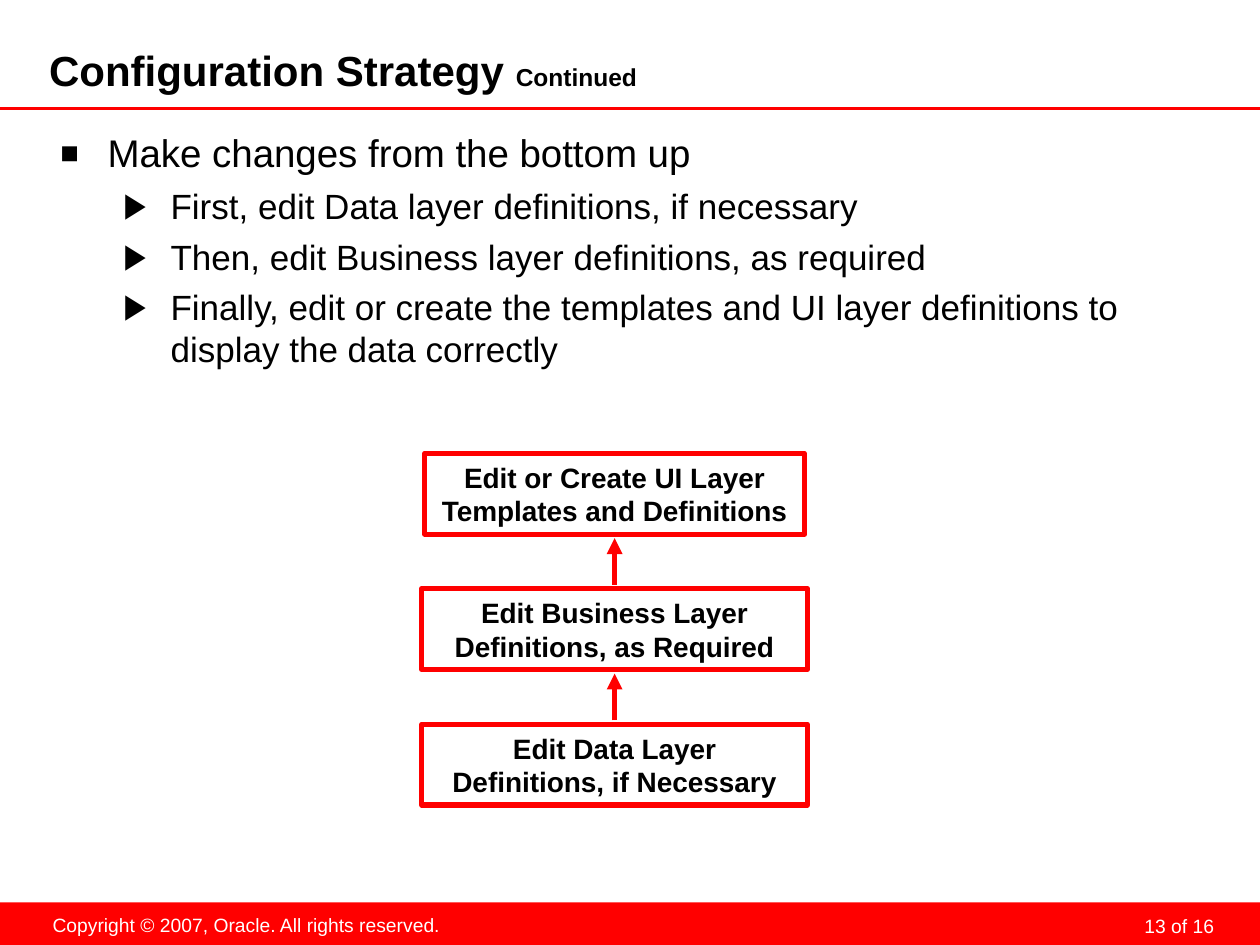
from lxml import etree
from pptx import Presentation
from pptx.dml.color import RGBColor
from pptx.enum.shapes import MSO_CONNECTOR, MSO_SHAPE
from pptx.enum.text import MSO_ANCHOR, PP_ALIGN
from pptx.oxml.ns import qn
from pptx.util import Cm, Pt

RED = RGBColor(0xFF, 0x00, 0x00)
BLACK = RGBColor(0x00, 0x00, 0x00)
WHITE = RGBColor(0xFF, 0xFF, 0xFF)

deck = Presentation()
deck.slide_width, deck.slide_height = Cm(25.4), Cm(19.05)
page = deck.slides.add_slide(deck.slide_layouts[6])


def style(paragraph, size, color, bold=False):
    font = paragraph.font
    font.name, font.size, font.bold = "Arial", Pt(size), bold
    font.color.rgb = color


def add_line(x1, y1, x2, y2, width):
    line = page.shapes.add_connector(
        MSO_CONNECTOR.STRAIGHT, Cm(x1), Cm(y1), Cm(x2), Cm(y2))
    line.line.color.rgb = RED
    line.line.width = Pt(width)
    etree.SubElement(line._element.spPr, qn("a:effectLst"))
    return line


# Footer band and rule under the title
band = page.shapes.add_shape(
    MSO_SHAPE.RECTANGLE, 0, Cm(18.19), Cm(25.4), Cm(0.86))
band.shadow.inherit = False
band.fill.solid()
band.fill.fore_color.rgb = RED
band.line.fill.background()

footers = [
    ("13 of 16", 18.69, 18.26, 5.92, 0.64, 0.13, 0, PP_ALIGN.RIGHT),
    ("Copyright © 2007, Oracle. All rights reserved.",
     0.79, 18.29, 8.36, 0.74, 0.25, 0.13, PP_ALIGN.CENTER),
]
for text, left, top, width, height, side, edge, align in footers:
    box = page.shapes.add_textbox(Cm(left), Cm(top), Cm(width), Cm(height))
    frame = box.text_frame
    frame.margin_left = frame.margin_right = Cm(side)
    frame.margin_top = frame.margin_bottom = Cm(edge)
    paragraph = frame.paragraphs[0]
    paragraph.text = text
    paragraph.alignment = align
    style(paragraph, 11, WHITE)
    if align == PP_ALIGN.RIGHT:
        paragraph.line_spacing = Pt(18)

add_line(0, 2.18, 25.4, 2.18, 1.75)

# Title
title = page.shapes.add_textbox(Cm(0.99), Cm(0.97), Cm(19.99), Cm(1.02))
frame = title.text_frame
frame.word_wrap = True
frame.vertical_anchor = MSO_ANCHOR.MIDDLE
frame.margin_left = frame.margin_top = 0
frame.margin_right = frame.margin_bottom = Cm(0.13)
paragraph = frame.paragraphs[0]
style(paragraph, 24, BLACK, bold=True)
paragraph.add_run().text = "Configuration Strategy "
span = paragraph.add_run()
span.text = "Continued"
span.font.size = Pt(14)

# Bulleted text
body = page.shapes.add_textbox(Cm(0.97), Cm(2.36), Cm(23.62), Cm(15.7))
frame = body.text_frame
frame.word_wrap = True
frame.margin_top = Cm(0.25)
points = [
    (0, "Make changes from the bottom up"),
    (1, "First, edit Data layer definitions, if necessary"),
    (1, "Then, edit Business layer definitions, as required"),
    (1, "Finally, edit or create the templates and UI layer definitions "
        "to display the data correctly"),
]
levels = [("■", 80, 0.95, 22), ("▶", 100, 2.22, 20)]
for index, (level, text) in enumerate(points):
    symbol, percent, indent, size = levels[level]
    paragraph = frame.add_paragraph() if index else frame.paragraphs[0]
    paragraph.text = text
    paragraph.level = level
    if index:
        paragraph.space_before = Pt(5)
    properties = paragraph._p.get_or_add_pPr()
    properties.set("marL", str(Cm(indent)))
    properties.set("indent", str(-Cm(0.95)))
    etree.SubElement(properties, qn("a:buSzPct"), val=str(percent * 1000))
    etree.SubElement(properties, qn("a:buFont"), typeface="Arial")
    etree.SubElement(properties, qn("a:buChar"), char=symbol)
    style(paragraph, size, BLACK)

# Layers, top to bottom, with an arrow up from each to the one above
CENTER, FIRST_TOP, PITCH, HEIGHT, GAP = 12.39, 9.14, 2.73, 1.63, 0.08
layers = [
    ("Edit or Create UI Layer Templates and Definitions", 7.65),
    ("Edit Business Layer Definitions, as Required", 7.77),
    ("Edit Data Layer Definitions, if Necessary", 7.77),
]
for index, (text, width) in enumerate(layers):
    top = FIRST_TOP + index * PITCH
    box = page.shapes.add_shape(
        MSO_SHAPE.RECTANGLE, Cm(CENTER - width / 2), Cm(top),
        Cm(width), Cm(HEIGHT))
    box.shadow.inherit = False
    box.fill.background()
    box.line.color.rgb = RED
    box.line.width = Pt(3)
    frame = box.text_frame
    frame.word_wrap = True
    frame.vertical_anchor = MSO_ANCHOR.MIDDLE
    paragraph = frame.paragraphs[0]
    paragraph.text = text
    paragraph.alignment = PP_ALIGN.CENTER
    style(paragraph, 16, BLACK, bold=True)
    if index:
        arrow = add_line(CENTER, top - GAP, CENTER,
                         top - PITCH + HEIGHT + GAP, 3)
        etree.SubElement(arrow.line._get_or_add_ln(), qn("a:tailEnd"),
                         type="triangle")

deck.save("out.pptx")
